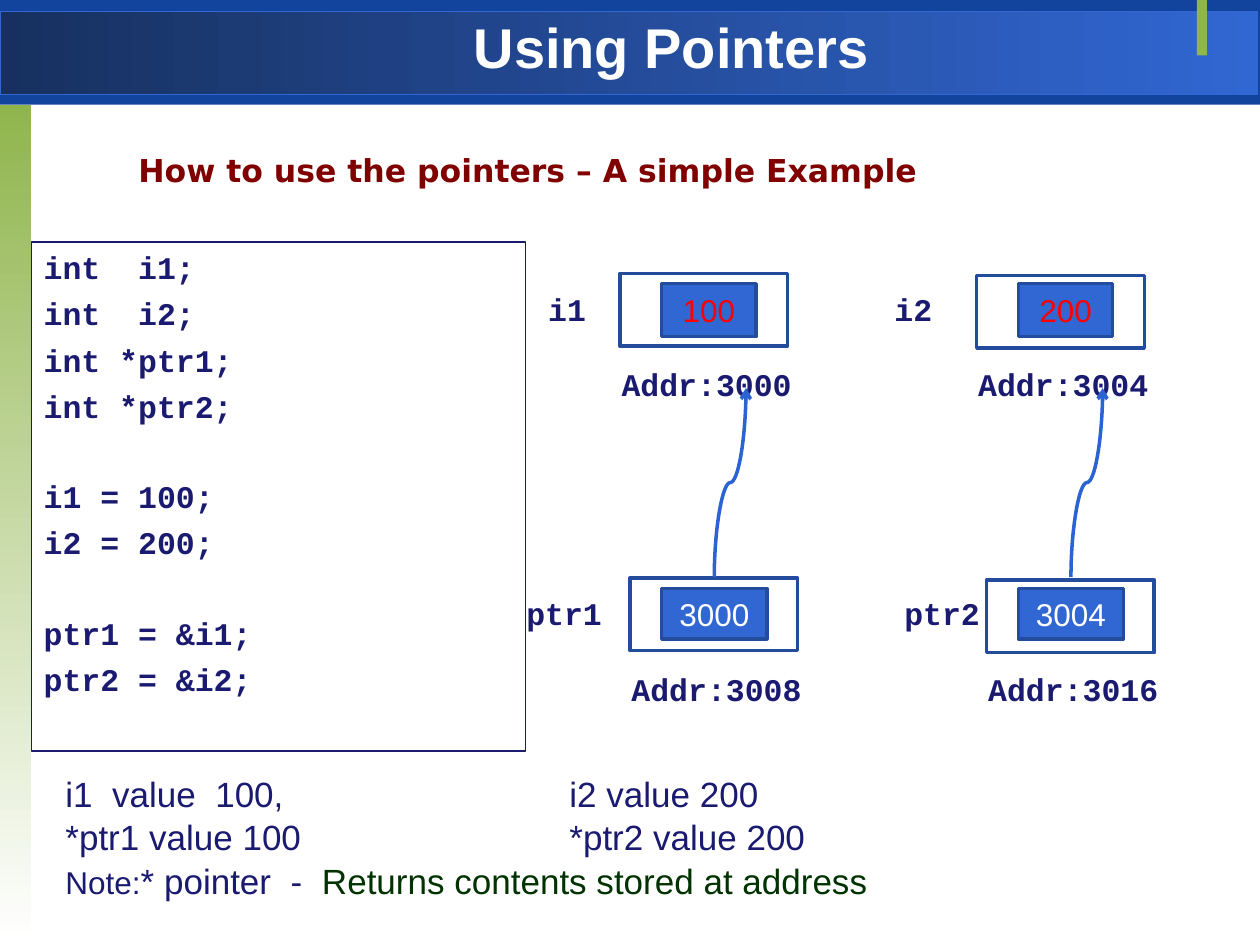
from lxml.etree import SubElement
from pptx import Presentation
from pptx.dml.color import RGBColor
from pptx.enum.shapes import MSO_CONNECTOR, MSO_SHAPE
from pptx.enum.text import MSO_ANCHOR, PP_ALIGN
from pptx.oxml.ns import qn
from pptx.util import Cm, Pt

COLORS = {name: RGBColor.from_string(value) for name, value in {
    "header": "12449E", "band_dark": "17305F", "blue": "3167D3",
    "green": "90B54D", "white": "FFFFFF", "navy": "1A1A70",
    "border": "244C9C", "arrow": "2C63D2", "maroon": "800000",
    "red": "FF0000", "dark_green": "003300"}.items()}

deck = Presentation()
deck.slide_width, deck.slide_height = Cm(25.4), Cm(19.05)
page = deck.slides.add_slide(deck.slide_layouts[5])


def add_box(left, top, width, height, fill=None, line=None, line_width=2):
    """Add a flat rectangle; two fill colours make a gradient."""
    box = page.shapes.add_shape(MSO_SHAPE.RECTANGLE, Cm(left), Cm(top),
                                Cm(width), Cm(height))
    box.shadow.inherit = False
    if fill is None:
        box.fill.background()
    elif isinstance(fill, tuple):
        box.fill.gradient()
        for stop, color in zip(box.fill.gradient_stops, fill):
            stop.color.rgb = COLORS[color]
    else:
        box.fill.solid()
        box.fill.fore_color.rgb = COLORS[fill]
    if line:
        box.line.color.rgb = COLORS[line]
        box.line.width = Pt(line_width)
    else:
        box.line.fill.background()
    return box


def add_span(para, text, size, color, font="Arial", bold=False):
    """Append one formatted run to a paragraph."""
    span = para.add_run()
    span.text = text
    span.font.size, span.font.name, span.font.bold = Pt(size), font, bold
    span.font.color.rgb = COLORS[color]


# Header and side decoration
add_box(0, 0, 25.4, 2.11, "header")
band = add_box(0, 0.23, 25.35, 1.68, ("band_dark", "blue"), "blue", 0.75)
band.fill.gradient_angle = 0
side_bar = add_box(0, 2.11, 0.63, 16.87, ("green", "white"))
side_bar.fill.gradient_angle = 270
add_box(24.13, 0, 0.2, 1.12, "green")

# Title, brought in front of the header
title = page.shapes.title
title.left, title.top, title.width, title.height = Cm(4.01), Cm(0.2), Cm(19.05), Cm(1.47)
page.shapes._spTree.append(title._element)
title.text_frame.vertical_anchor = MSO_ANCHOR.MIDDLE
para = title.text_frame.paragraphs[0]
para.alignment = PP_ALIGN.CENTER
add_span(para, "Using Pointers", 32, "white", bold=True)

heading = page.shapes.add_textbox(Cm(2.54), Cm(2.54), Cm(21.16), Cm(1.42))
heading.text_frame.word_wrap = True
para = heading.text_frame.paragraphs[0]
para.line_spacing = 1.5
add_span(para, "How to use the pointers – A simple Example", 18, "maroon",
         "DejaVu Sans", True)

# Code listing: each group starts after a wider gap
code_groups = [
    ["int  i1;", "int  i2;", "int *ptr1;", "int *ptr2;"],
    ["i1 = 100;", "i2 = 200;"],
    ["ptr1 = &i1;", "ptr2 = &i2;"],
]
code = add_box(0.63, 4.88, 9.96, 10.26, line="navy", line_width=0.75).text_frame
code.word_wrap = True
code.vertical_anchor = MSO_ANCHOR.TOP
para = code.paragraphs[0]
for group_index, group in enumerate(code_groups):
    for line_index, statement in enumerate(group):
        if group_index or line_index:
            para = code.add_paragraph()
        para.alignment = PP_ALIGN.LEFT
        para.space_before = Pt(30 if group_index and not line_index else 4.8)
        add_span(para, statement, 18, "navy", "Courier New", True)

# Memory cells: label, label left, frame left, address, value, column, row
cells = [
    ("i1", 10.8, 12.5, "Addr:3000", "100", 0, 0),
    ("i2", 17.78, 19.69, "Addr:3004", "200", 1, 0),
    ("ptr1", 10.36, 12.7, "Addr:3008", "3000", 0, 1),
    ("ptr2", 17.98, 19.89, "Addr:3016", "3004", 1, 1),
]
column_step = 7.19
for label, label_left, frame_left, address, value, column, row in cells:
    top = 5.72 + 6.14 * row
    add_box(frame_left, top - 0.21 + 0.04 * column, 3.38, 1.47, "white", "border")
    for text, left, text_top, width in [
            (label, label_left, top, 2.97),
            (address, frame_left - 0.22, top + 1.52, 4.65)]:
        caption = page.shapes.add_textbox(Cm(left), Cm(text_top), Cm(width), Cm(1.02))
        caption.text_frame.word_wrap = True
        add_span(caption.text_frame.paragraphs[0], text, 18, "navy", "Courier New", True)
    value_box = add_box(13.34 + column_step * column, top, 2.12 if row else 1.9,
                        1.02 if row else 1.07, "blue", "border")
    value_box.text_frame.vertical_anchor = MSO_ANCHOR.MIDDLE
    para = value_box.text_frame.paragraphs[0]
    para.alignment = PP_ALIGN.CENTER
    add_span(para, value, 18, "white" if row else "red")

# Curved arrows from each pointer up to the address it holds
half_length, half_shift, middle_y = 1.905, 0.32, 9.73
for column in range(2):
    middle_x = 14.72 + column_step * column
    arrow = page.shapes.add_connector(
        MSO_CONNECTOR.CURVE,
        Cm(middle_x + half_length), Cm(middle_y + half_shift),
        Cm(middle_x - half_length), Cm(middle_y - half_shift))
    arrow.line.color.rgb = COLORS["arrow"]
    arrow.line.width = Pt(2)
    properties = arrow._element.spPr
    properties.find(qn("a:xfrm")).set("rot", "5400000")
    SubElement(properties.find(qn("a:ln")), qn("a:tailEnd"), type="arrow")
    SubElement(properties, qn("a:effectLst"))

# Results, with the second column on a tab stop
results = [
    [("i1  value  100,\ti2 value 200", 20, "navy")],
    [("*ptr1 value 100\t*ptr2 value 200", 20, "navy")],
    [("Note:", 18, "navy"), ("* pointer  -  ", 20, "navy"),
     ("Returns contents stored at address", 20, "dark_green")],
]
summary = page.shapes.add_textbox(Cm(1.07), Cm(15.44), Cm(19.89), Cm(3.58)).text_frame
summary.word_wrap = True
for index, spans in enumerate(results):
    para = summary.add_paragraph() if index else summary.paragraphs[0]
    para.space_before = Pt(1)
    tab_list = SubElement(para._p.get_or_add_pPr(), qn("a:tabLst"))
    SubElement(tab_list, qn("a:tab"), pos=str(Cm(10.16)), algn="l")
    for text, size, color in spans:
        add_span(para, text, size, color)

deck.save("out.pptx")
